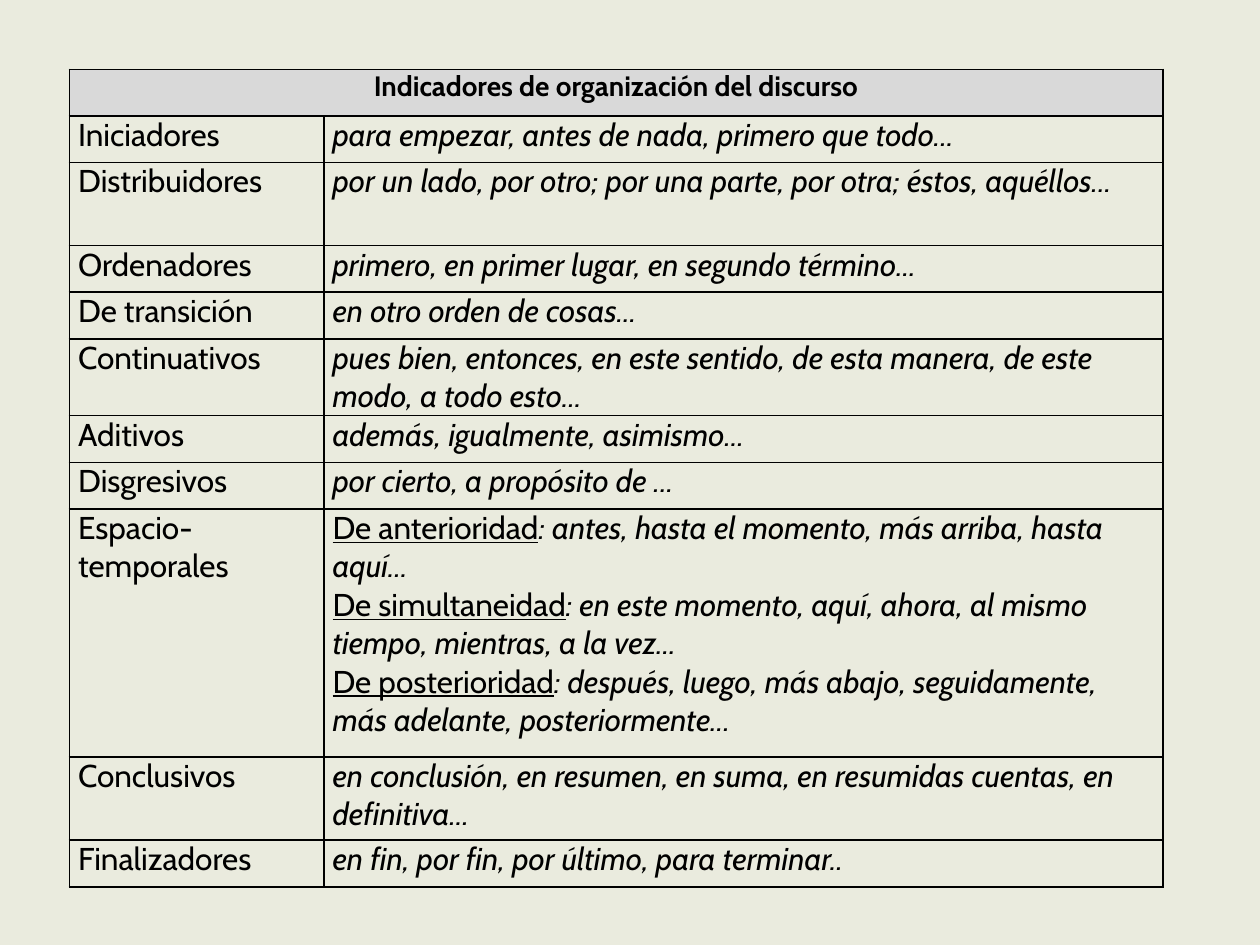
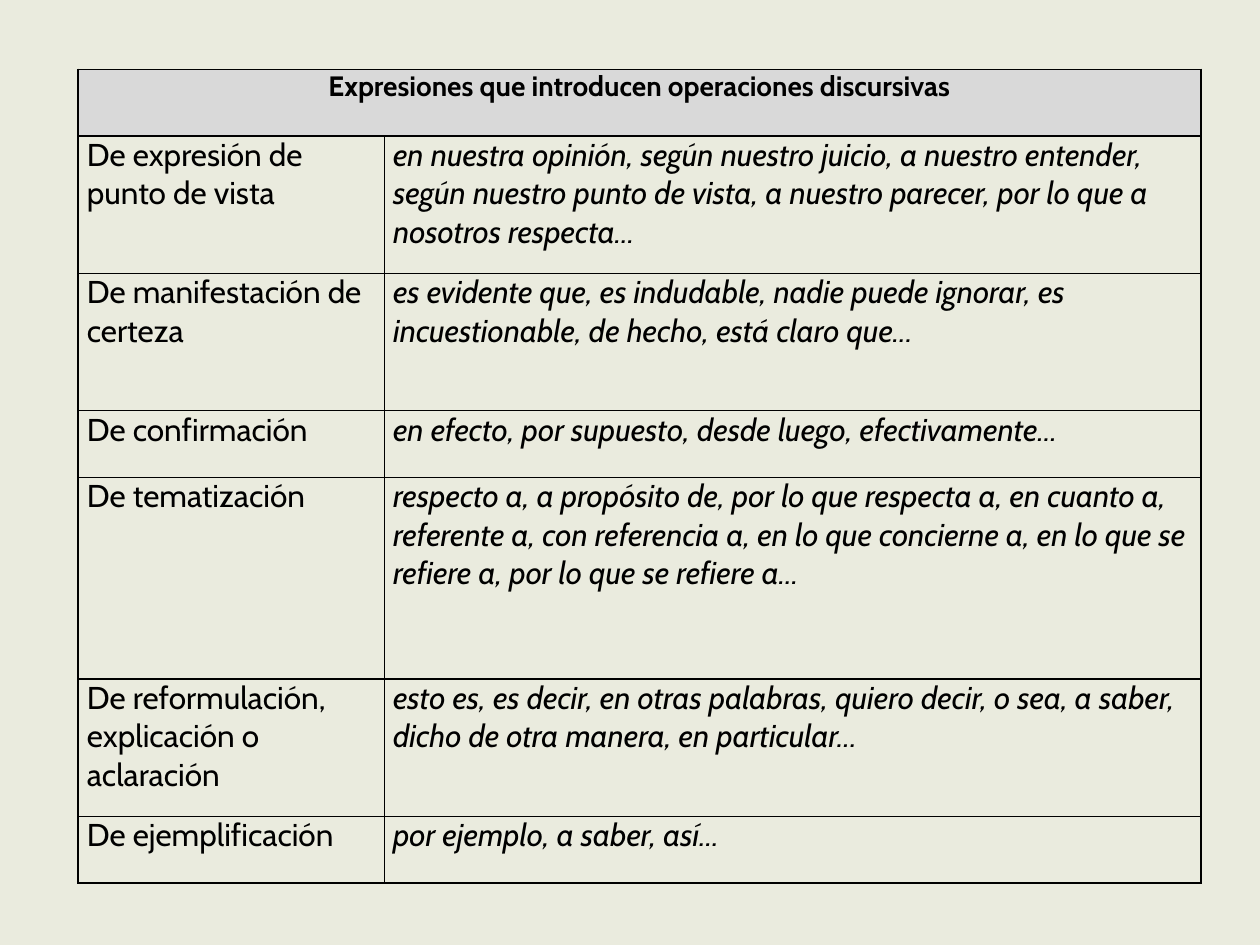
"""Build two slides with tables of Spanish discourse markers."""
from dataclasses import dataclass

from lxml import etree
from pptx import Presentation
from pptx import util as u
from pptx.dml import color
from pptx.enum import text
from pptx.oxml import ns

COLORS = {"background": "EAEBDE", "header": "D9D9D9", "ink": "000000"}
BASE = {"name": "Cabin", "size": u.Pt(18), "bold": False, "italic": False, "underline": False}
FORMATS = {
    "title": BASE | {"size": u.Pt(16), "bold": True},
    "label": BASE,
    "examples": BASE | {"italic": True},
    "lead": BASE | {"underline": True},
}
MARGINS = {
    "margin_left": u.Inches(0.07),
    "margin_right": u.Inches(0.07),
    "margin_top": 0,
    "margin_bottom": 0,
}
TABLE_FLAGS = {"first_row": False, "horz_banding": False}
TABLE_TOP = 0.55


@dataclass(frozen=True)
class Phrase:
    """Examples, with an optional underlined lead."""
    examples: str
    lead: str = ""


@dataclass(frozen=True)
class Category:
    """One row: a label, its row height and its phrases."""
    label: str
    height: float
    phrases: tuple[Phrase, ...]


@dataclass(frozen=True)
class MarkerTable:
    """A titled table of discourse markers."""
    title: str
    left: float
    title_height: float
    widths: tuple[float, float]
    categories: tuple[Category, ...]


def category(label: str, height: float, examples: str) -> Category:
    """Return a row that holds a single phrase."""
    return Category(label, height, (Phrase(examples),))


ORGANIZATION = MarkerTable(
    "Indicadores de organización del discurso", 0.55, 0.37, (2.02, 6.66),
    (
        category("Iniciadores", 0.37, "para empezar, antes de nada, primero que todo..."),
        category("Distribuidores", 0.66,
                 "por un lado, por otro; por una parte, por otra; éstos, aquéllos..."),
        category("Ordenadores", 0.37, "primero, en primer lugar, en segundo término..."),
        category("De transición", 0.37, "en otro orden de cosas..."),
        category("Continuativos", 0.61,
                 "pues bien, entonces, en este sentido, de esta manera, "
                 "de este modo, a todo esto..."),
        category("Aditivos", 0.37, "además, igualmente, asimismo..."),
        category("Disgresivos", 0.37, "por cierto, a propósito de ..."),
        Category("Espacio-temporales", 1.97, (
            Phrase(": antes, hasta el momento, más arriba, hasta aquí...", "De anterioridad"),
            Phrase(": en este momento, aquí, ahora, al mismo tiempo, mientras, a la vez...",
                   "De simultaneidad"),
            Phrase(": después, luego, más abajo, seguidamente, más adelante, posteriormente...",
                   "De posterioridad"),
        )),
        category("Conclusivos", 0.66,
                 "en conclusión, en resumen, en suma, en resumidas cuentas, en definitiva..."),
        category("Finalizadores", 0.37, "en fin, por fin, por último, para terminar.."),
    ),
)
OPERATIONS = MarkerTable(
    "Expresiones que introducen operaciones discursivas", 0.62, 0.53, (2.43, 6.48),
    (
        category("De expresión de punto de vista", 1.09,
                 "en nuestra opinión, según nuestro juicio, a nuestro entender, según nuestro "
                 "punto de vista, a nuestro parecer, por lo que a nosotros respecta..."),
        category("De manifestación de certeza", 1.09,
                 "es evidente que, es indudable, nadie puede ignorar, es incuestionable, "
                 "de hecho, está claro que..."),
        category("De confirmación", 0.53,
                 "en efecto, por supuesto, desde luego, efectivamente..."),
        category("De tematización", 1.6,
                 "respecto a, a propósito de, por lo que respecta a, en cuanto a, referente a, "
                 "con referencia a, en lo que concierne a, en lo que se refiere a, "
                 "por lo que se refiere a..."),
        category("De reformulación, explicación o aclaración", 1.09,
                 "esto es, es decir, en otras palabras, quiero decir, o sea, a saber, "
                 "dicho de otra manera, en particular..."),
        category("De ejemplificación", 0.53, "por ejemplo, a saber, así..."),
    ),
)


def set_values(target: object, values: dict) -> None:
    """Set each named value on the target."""
    for name, value in values.items():
        setattr(target, name, value)


def paint(fill, key: str) -> None:
    """Fill with a solid palette colour."""
    fill.solid()
    fill.fore_color.rgb = color.RGBColor.from_string(COLORS[key])


def add_run(paragraph, words: str, style: str) -> None:
    """Add a run in one of the shared text formats."""
    run = paragraph.add_run()
    run.text = words
    set_values(run.font, FORMATS[style])
    run.font.color.rgb = color.RGBColor.from_string(COLORS["ink"])


def add_borders(cell) -> None:
    """Draw a one-point line on every side of the cell."""
    properties = cell._tc.get_or_add_tcPr()
    for side in ("a:lnL", "a:lnR", "a:lnT", "a:lnB"):
        line = etree.SubElement(properties, ns.qn(side), w=str(u.Pt(1)))
        solid = etree.SubElement(line, ns.qn("a:solidFill"))
        etree.SubElement(solid, ns.qn("a:srgbClr"), val=COLORS["ink"])


def write_phrases(cell, phrases: tuple[Phrase, ...]) -> None:
    """Write each phrase as its own paragraph."""
    frame = cell.text_frame
    for index, phrase in enumerate(phrases):
        paragraph = frame.add_paragraph() if index else frame.paragraphs[0]
        if phrase.lead:
            add_run(paragraph, phrase.lead, "lead")
        add_run(paragraph, phrase.examples, "examples")


def add_marker_slide(presentation, content: MarkerTable) -> None:
    """Add a slide that holds one marker table."""
    slide = presentation.slides.add_slide(presentation.slide_layouts[6])
    paint(slide.background.fill, "background")
    heights = [content.title_height, *(row.height for row in content.categories)]
    table = slide.shapes.add_table(
        len(heights), len(content.widths), u.Inches(content.left), u.Inches(TABLE_TOP),
        u.Inches(sum(content.widths)), u.Inches(sum(heights))).table
    set_values(table, TABLE_FLAGS)
    for column, width in zip(table.columns, content.widths):
        column.width = u.Inches(width)
    for row, height in zip(table.rows, heights):
        row.height = u.Inches(height)
    for cell in table.iter_cells():
        set_values(cell, MARGINS)
        add_borders(cell)
        cell.fill.background()

    title = table.cell(0, 0)
    title.merge(table.cell(0, 1))
    paint(title.fill, "header")
    paragraph = title.text_frame.paragraphs[0]
    paragraph.alignment = text.PP_ALIGN.CENTER
    add_run(paragraph, content.title, "title")
    for index, entry in enumerate(content.categories, start=1):
        add_run(table.cell(index, 0).text_frame.paragraphs[0], entry.label, "label")
        write_phrases(table.cell(index, 1), entry.phrases)


def main() -> None:
    """Build and save the presentation."""
    presentation = Presentation()
    set_values(presentation, {"slide_width": u.Inches(10), "slide_height": u.Inches(7.5)})
    for content in (ORGANIZATION, OPERATIONS):
        add_marker_slide(presentation, content)
    presentation.save("out.pptx")


if __name__ == "__main__":
    main()
